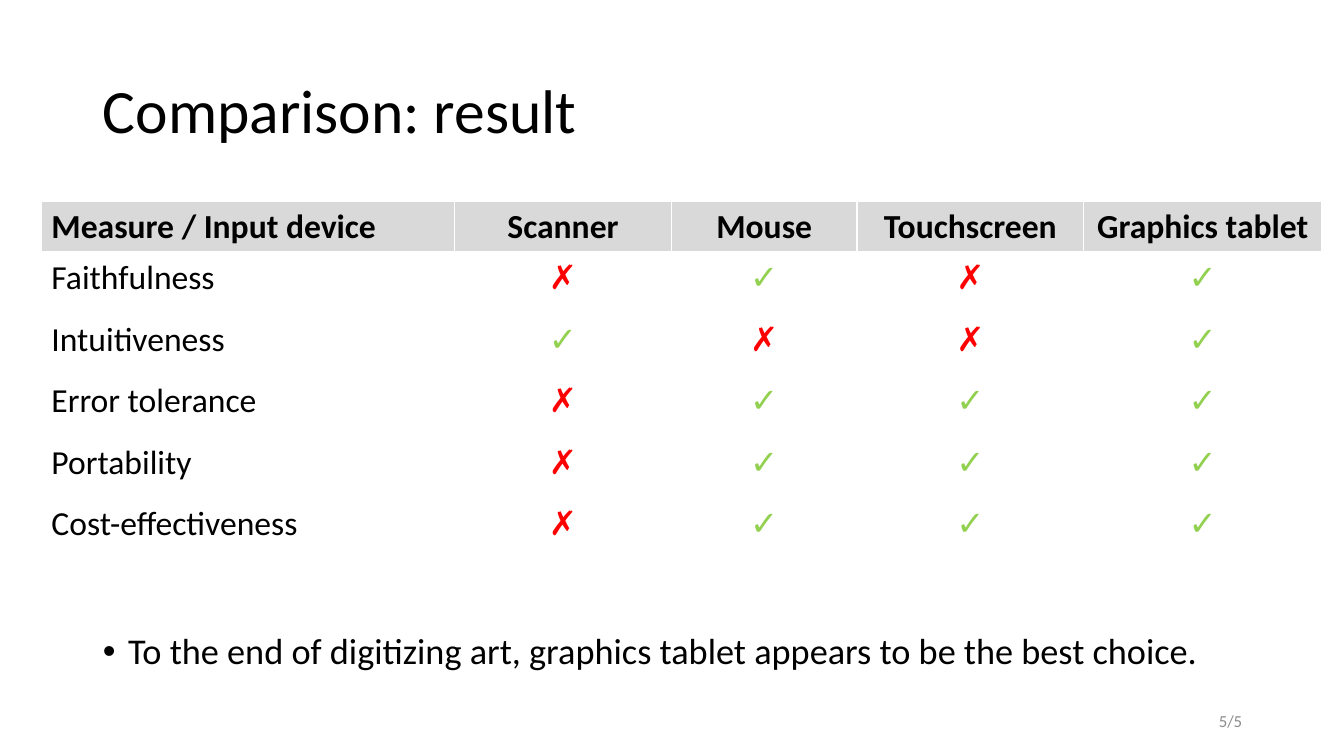
from dataclasses import dataclass

from lxml import etree
from pptx import Presentation
from pptx.dml.color import RGBColor
from pptx.enum.text import MSO_ANCHOR, MSO_AUTO_SIZE, PP_ALIGN
from pptx.oxml.ns import qn
from pptx.util import Inches, Pt

LEFT, CENTER, RIGHT = PP_ALIGN.LEFT, PP_ALIGN.CENTER, PP_ALIGN.RIGHT
MIDDLE = MSO_ANCHOR.MIDDLE
NO_AUTOFIT = MSO_AUTO_SIZE.NONE


@dataclass(frozen=True)
class Theme:
    font: str = "Calibri"
    ink: str = "000000"
    muted: str = "8C8C8C"
    header: str = "D9D9D9"
    border: str = "FFFFFF"
    good: str = "92D050"
    bad: str = "FF0000"
    title_size: float = 44
    body_size: float = 25.9
    table_size: float = 24
    page_size: float = 12


THEME = Theme()
SLIDE_W, SLIDE_H = 13.33, 7.5
MARGIN, CONTENT_W = 0.92, 11.5
YES, NO = "✓", "✗"
MARK_COLORS = {YES: THEME.good, NO: THEME.bad}

DEVICES = ["Scanner", "Mouse", "Touchscreen", "Graphics tablet"]
COLUMN_WIDTHS = [4.1, 2.15, 1.84, 2.25, 2.36]
HEADER_H, ROW_H = 0.47, 0.61
RESULTS = {
    "Faithfulness": [NO, YES, NO, YES],
    "Intuitiveness": [YES, NO, NO, YES],
    "Error tolerance": [NO, YES, YES, YES],
    "Portability": [NO, YES, YES, YES],
    "Cost-effectiveness": [NO, YES, YES, YES],
}


def place(target, box):
    target.left, target.top, target.width, target.height = map(Inches, box)


def write(paragraph, text, size, color=THEME.ink, align=LEFT, bold=False):
    paragraph.alignment = align
    run = paragraph.add_run()
    run.text = text
    run.font.name = THEME.font
    run.font.size = Pt(size)
    run.font.bold = bold
    run.font.color.rgb = RGBColor.from_string(color)


def fill_frame(frame, text, size, color=THEME.ink, align=LEFT):
    """Write one vertically centred paragraph and return it."""
    frame.word_wrap = True
    frame.auto_size = NO_AUTOFIT
    frame.vertical_anchor = MIDDLE
    paragraph = frame.paragraphs[0]
    write(paragraph, text, size, color, align)
    return paragraph


def add_title(slide, box, text):
    place(slide.shapes.title, box)
    heading = fill_frame(slide.shapes.title.text_frame, text, THEME.title_size)
    heading.line_spacing = 0.9


def add_conclusion(slide, box, text):
    body = slide.placeholders[1]
    place(body, box)
    conclusion = fill_frame(body.text_frame, text, THEME.body_size)
    conclusion.line_spacing = 0.9
    conclusion.space_before = Pt(0)
    properties = conclusion._p.get_or_add_pPr()
    properties.set("marL", str(Inches(0.25)))
    properties.set("indent", str(Inches(-0.25)))
    etree.SubElement(properties, qn("a:buFont"), typeface="Arial")
    etree.SubElement(properties, qn("a:buChar"), char="•")


def add_page_number(slide, box, text):
    page = slide.shapes.add_textbox(*map(Inches, box))
    fill_frame(page.text_frame, text, THEME.page_size, THEME.muted, RIGHT)


def add_borders(cell, bottom):
    """Draw the cell borders; they must precede the fill in the XML."""
    properties = cell._tc.get_or_add_tcPr()
    for side, width in (("L", 1), ("R", 1), ("T", 1), ("B", bottom)):
        line = etree.SubElement(properties, qn(f"a:ln{side}"), w=str(Pt(width)))
        fill = etree.SubElement(line, qn("a:solidFill"))
        etree.SubElement(fill, qn("a:srgbClr"), val=THEME.border)


def add_comparison(slide, left, top):
    rows = [["Measure / Input device", *DEVICES]]
    rows += [[measure, *marks] for measure, marks in RESULTS.items()]
    heights = [HEADER_H] + [ROW_H] * len(RESULTS)
    box = (left, top, sum(COLUMN_WIDTHS), sum(heights))
    table = slide.shapes.add_table(
        len(rows), len(COLUMN_WIDTHS), *map(Inches, box)).table
    table.horz_banding = False
    for column, width in zip(table.columns, COLUMN_WIDTHS):
        column.width = Inches(width)
    for r, (texts, height) in enumerate(zip(rows, heights)):
        table.rows[r].height = Inches(height)
        is_header = r == 0
        for c, text in enumerate(texts):
            cell = table.cell(r, c)
            add_borders(cell, bottom=3 if is_header else 1)
            if is_header:
                cell.fill.solid()
                cell.fill.fore_color.rgb = RGBColor.from_string(THEME.header)
            else:
                cell.fill.background()
            write(cell.text_frame.paragraphs[0], text, THEME.table_size,
                  MARK_COLORS.get(text, THEME.ink),
                  CENTER if c else LEFT, is_header)


def main():
    deck = Presentation()
    deck.slide_width, deck.slide_height = Inches(SLIDE_W), Inches(SLIDE_H)
    slide = deck.slides.add_slide(deck.slide_layouts[1])
    add_title(slide, (MARGIN, 0.4, CONTENT_W, 1.45), "Comparison: result")
    add_conclusion(
        slide, (MARGIN, 6.2, CONTENT_W, 0.56),
        "To the end of digitizing art, graphics tablet appears to be the best choice.")
    add_page_number(slide, (MARGIN + CONTENT_W - 3, 6.95, 3, 0.4), "5/5")
    add_comparison(slide, 0.41, 2)
    deck.save("out.pptx")


if __name__ == "__main__":
    main()
